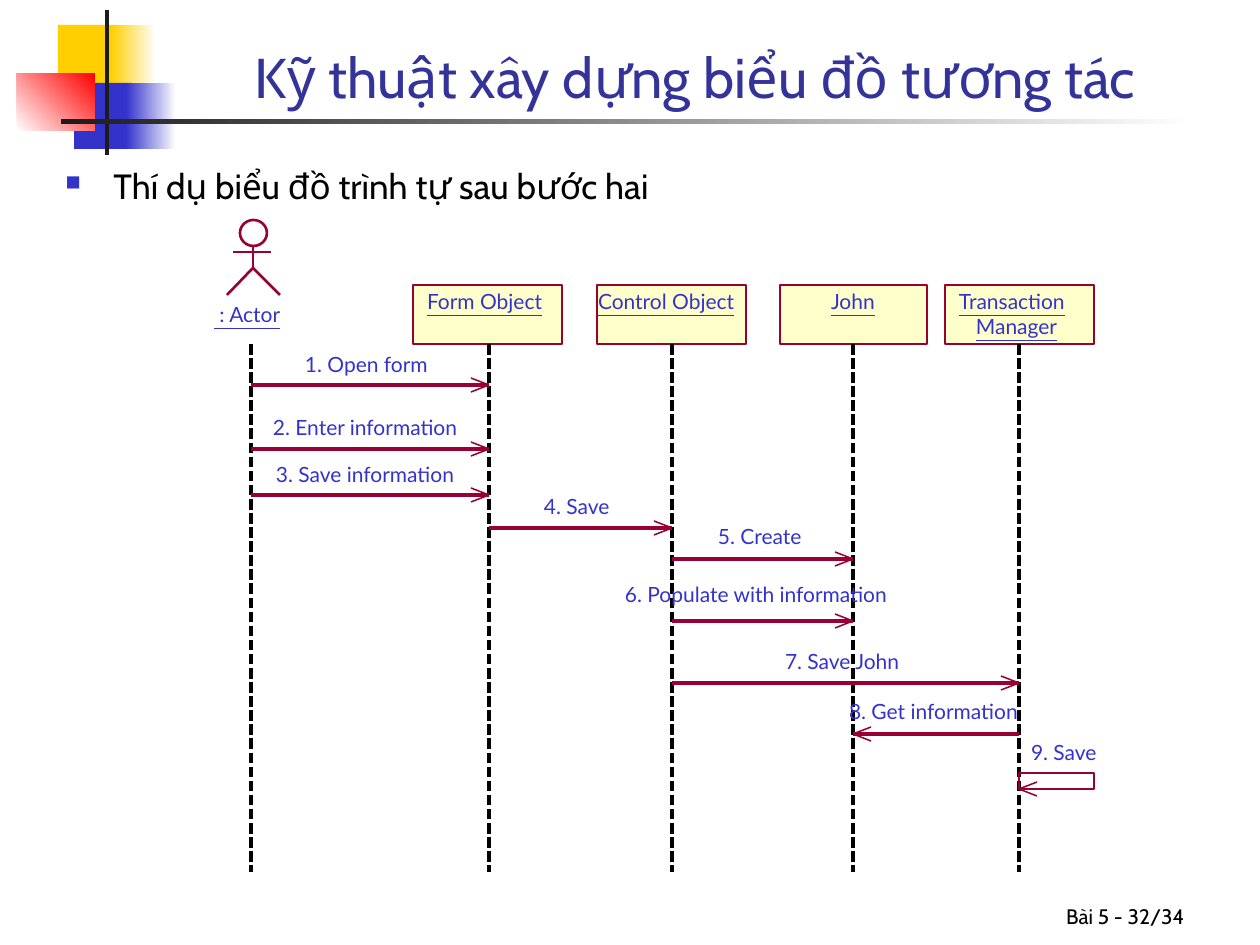
"""Build the slide with a sequence diagram after its second step."""
from lxml import etree
from pptx import Presentation
from pptx.dml.color import RGBColor
from pptx.enum.dml import MSO_LINE
from pptx.enum.shapes import MSO_CONNECTOR, MSO_SHAPE
from pptx.enum.text import MSO_ANCHOR, PP_ALIGN
from pptx.oxml.ns import qn
from pptx.util import Pt

PX = 914400 / 126
RECT, OVAL = MSO_SHAPE.RECTANGLE, MSO_SHAPE.OVAL
STRAIGHT = MSO_CONNECTOR.STRAIGHT
DASH = MSO_LINE.SQUARE_DOT
TOP, BOTTOM = MSO_ANCHOR.TOP, MSO_ANCHOR.BOTTOM
LEFT, CENTER, RIGHT = PP_ALIGN.LEFT, PP_ALIGN.CENTER, PP_ALIGN.RIGHT

BLACK = RGBColor(0x00, 0x00, 0x00)
WHITE = RGBColor(0xFF, 0xFF, 0xFF)
INK = RGBColor(0x1C, 0x1C, 0x1C)
YELLOW = RGBColor(0xFF, 0xCF, 0x01)
BLUE = RGBColor(0x33, 0x33, 0xCC)
RED = RGBColor(0xFF, 0x00, 0x00)
NAVY = RGBColor(0x33, 0x33, 0x99)
MAROON = RGBColor(0x99, 0x00, 0x33)
CREAM = RGBColor(0xFF, 0xFF, 0xCC)

TITLE = "Kỹ thuật xây dựng biểu đồ tương tác"
BULLET = "Thí dụ biểu đồ trình tự sau bước hai"
FOOTER = "Bài 5 - 32/34"

# left, top, width, height, colours, gradient angle
DECORATION = [
    (58, 25, 60, 66, (YELLOW,), 0),
    (111, 25, 45, 66, (YELLOW, WHITE), 0),
    (74, 83, 58, 66, (BLUE,), 0),
    (126, 83, 50, 66, (BLUE, WHITE), 0),
    (17, 73, 78, 58, (WHITE, RED), 45),
    (105, 10, 4, 145, (INK,), 0),
    (61, 119, 1134, 5, (INK, WHITE), 0),
]
LIFELINES = {"actor": 251, "form": 489, "control": 672, "john": 853, "manager": 1019}
# box left, box width, name lines as (text, left, width)
OBJECTS = [
    (413, 149, [("Form Object", 427, 122)]),
    (597, 149, [("Control Object", 598, 144)]),
    (780, 147, [("John", 831, 44)]),
    (945, 149, [("Transaction", 959, 121), ("Manager", 976, 89)]),
]
# text, sender, receiver, arrow y, label left, label top, label width
MESSAGES = [
    ("1. Open form", "actor", "form", 385, 305, 352, 131),
    ("2. Enter information", "actor", "form", 449, 273, 415, 199),
    ("3. Save information", "actor", "form", 495, 276, 462, 192),
    ("4. Save", "form", "control", 528, 544, 494, 69),
    ("5. Create", "control", "john", 559, 718, 524, 88),
    ("6. Populate with information", "control", "john", 621, 625, 582, 282),
    ("7. Save John", "control", "manager", 683, 785, 649, 118),
    ("8. Get information", "manager", "john", 734, 849, 699, 180),
    ("9. Save", "manager", "manager", 789, 1031, 740, 69),
]
LIFE_TOP, LIFE_END = 344, 872
BOX_TOP, BOX_HEIGHT = 285, 59
NAME_TOP, NAME_STEP, LABEL_HEIGHT = 289, 25, 25
HEAD_LENGTH, HEAD_RISE = 18, 7
LOOP_WIDTH, LOOP_HEIGHT = 75, 16
HAIRLINE, HEAD_WEIGHT, FIGURE_WEIGHT = 0, 0.88, 1.5


def emu(*lengths):
    return [round(length * PX) for length in lengths]


def add_block(slide, kind, place, colours=(), angle=0, outline=None, weight=0):
    block = slide.shapes.add_shape(kind, *emu(*place))
    block.shadow.inherit = False
    if len(colours) == 2:
        block.fill.gradient()
        block.fill.gradient_angle = angle
        for stop, colour in zip(block.fill.gradient_stops, colours):
            stop.color.rgb = colour
    elif colours:
        block.fill.solid()
        block.fill.fore_color.rgb = colours[0]
    else:
        block.fill.background()
    if outline is None:
        block.line.fill.background()
    else:
        block.line.color.rgb = outline
        block.line.width = Pt(weight)


def add_line(slide, start, end, colour=MAROON, weight=HAIRLINE, dash=None):
    line = slide.shapes.add_connector(STRAIGHT, *emu(*start, *end))
    line.line.color.rgb = colour
    line.line.width = Pt(weight)
    if dash is not None:
        line.line.dash_style = dash
    etree.SubElement(line.element.spPr, qn("a:effectLst"))


def add_text(slide, text, place, size, font, colour, align=LEFT, anchor=TOP, wrap=True):
    box = slide.shapes.add_textbox(*emu(*place))
    frame = box.text_frame
    frame.word_wrap = wrap
    frame.vertical_anchor = anchor
    paragraph = frame.paragraphs[0]
    paragraph.alignment = align
    run = paragraph.add_run()
    run.text = text
    run.font.size = Pt(size)
    run.font.name = font
    run.font.color.rgb = colour
    return frame


def add_label(slide, text, left, top, width, underline=False):
    frame = add_text(slide, text, (left, top, width, LABEL_HEIGHT), 12, "Lato", BLUE, wrap=False)
    frame.margin_left = frame.margin_right = frame.margin_top = frame.margin_bottom = 0
    frame.paragraphs[0].runs[0].font.underline = underline


def add_bullet(paragraph):
    paragraph.space_before = Pt(5)
    properties = paragraph._p.get_or_add_pPr()
    indent = emu(48)[0]
    properties.set("marL", str(indent))
    properties.set("indent", str(-indent))
    colour = etree.SubElement(properties, qn("a:buClr"))
    etree.SubElement(colour, qn("a:srgbClr"), val=str(BLUE))
    etree.SubElement(properties, qn("a:buSzPct"), val="60000")
    etree.SubElement(properties, qn("a:buChar"), char="■")


def add_actor(slide):
    add_block(slide, OVAL, (240, 220, 27, 26), outline=MAROON, weight=FIGURE_WEIGHT)
    add_line(slide, (253, 246), (253, 268), weight=FIGURE_WEIGHT)
    add_line(slide, (233, 252), (271, 252), weight=FIGURE_WEIGHT)
    outline = slide.shapes.build_freeform(227, 295, scale=PX)
    outline.add_line_segments([(253, 268), (280, 295)], close=False)
    legs = outline.convert_to_shape()
    legs.shadow.inherit = False
    legs.fill.background()
    legs.line.color.rgb = MAROON
    legs.line.width = Pt(FIGURE_WEIGHT)
    add_label(slide, " : Actor", 214, 302, 69, underline=True)


def add_message(slide, text, sender, receiver, y, left, top, width):
    start, end = LIFELINES[sender], LIFELINES[receiver]
    if start == end:
        loop = (end, y - LOOP_HEIGHT, LOOP_WIDTH, LOOP_HEIGHT)
        add_block(slide, RECT, loop, outline=MAROON)
    else:
        add_line(slide, (start, y), (end, y))
    tail = end - HEAD_LENGTH if start < end else end + HEAD_LENGTH
    for rise in (HEAD_RISE, -HEAD_RISE):
        add_line(slide, (end, y), (tail, y + rise), weight=HEAD_WEIGHT)
    add_label(slide, text, left, top, width)


def main():
    deck = Presentation()
    deck.slide_width, deck.slide_height = emu(1260, 945)
    slide = deck.slides.add_slide(deck.slide_layouts[6])
    for *place, colours, angle in DECORATION:
        add_block(slide, RECT, place, colours, angle)
    add_text(slide, FOOTER, (935, 872, 262, 63), 12, "Cabin", BLACK, RIGHT, BOTTOM)
    add_text(slide, TITLE, (159, 10, 1073, 106), 32, "Cabin", NAVY, CENTER, BOTTOM)
    body = add_text(slide, BULLET, (53, 158, 1187, 746), 20, "Cabin", BLACK)
    add_bullet(body.paragraphs[0])

    add_actor(slide)
    for left, width, names in OBJECTS:
        add_block(slide, RECT, (left, BOX_TOP, width, BOX_HEIGHT), (CREAM,), outline=MAROON)
        for row, (name, name_left, name_width) in enumerate(names):
            add_label(slide, name, name_left, NAME_TOP + row * NAME_STEP, name_width, underline=True)
    for x in LIFELINES.values():
        add_line(slide, (x, LIFE_TOP), (x, LIFE_END), BLACK, dash=DASH)
    for message in MESSAGES:
        add_message(slide, *message)
    deck.save("out.pptx")


if __name__ == "__main__":
    main()
